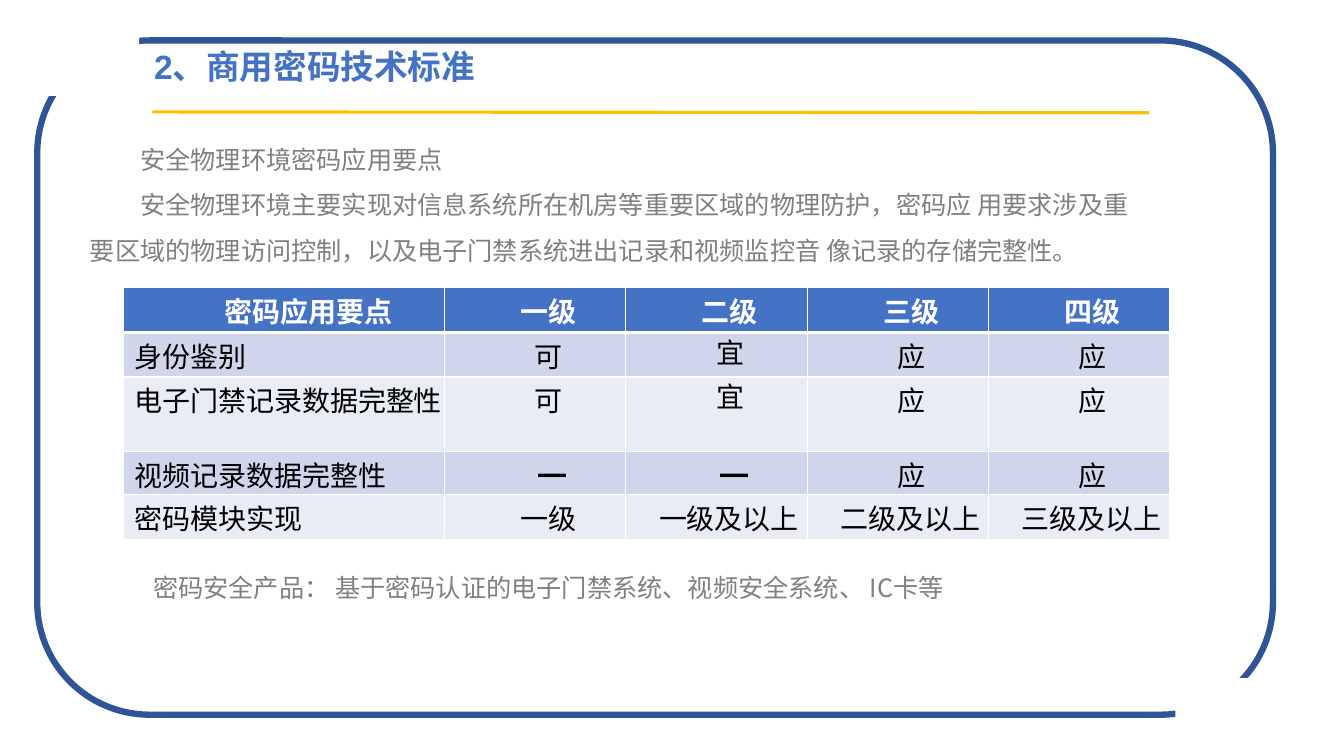
from dataclasses import dataclass

from lxml import etree
from pptx import Presentation
from pptx import util as u
from pptx.dml.color import RGBColor
from pptx.enum import shapes, text
from pptx.oxml import ns

WHITE = RGBColor(0xFF, 0xFF, 0xFF)
BLACK = RGBColor(0x00, 0x00, 0x00)
GREY = RGBColor(0x80, 0x80, 0x80)
BLUE = RGBColor(0x44, 0x72, 0xC4)
NAVY = RGBColor(0x2F, 0x55, 0x97)
GOLD = RGBColor(0xFF, 0xC0, 0x00)
BAND_DARK = RGBColor(0xCF, 0xD5, 0xEA)
BAND_LIGHT = RGBColor(0xE9, 0xEB, 0xF5)
CJK = "Noto Sans CJK SC"

COLUMN_WIDTHS = [8.08] + [4.57] * 4


@dataclass(frozen=True)
class Box:
    left: float
    top: float
    width: float
    height: float

    def lengths(self) -> tuple:
        return u.Cm(self.left), u.Cm(self.top), u.Cm(self.width), u.Cm(self.height)


@dataclass(frozen=True)
class Style:
    size: float
    color: RGBColor
    font: str = CJK
    bold: bool = False
    spacing: int = 0


@dataclass(frozen=True)
class Row:
    height: float
    fill: RGBColor
    cells: tuple


FRAME = Box(0.94, 1.02, 31.14, 16.99)
GAPS = (Box(0.94, 0.46, 2.57, 1.96), Box(29.62, 17.09, 2.57, 1.96))
TITLE = Box(3.63, 1.04, 25.55, 1.27)
BODY = Box(2.01, 3.12, 26.97, 3.71)
NOTE = Box(2.34, 13.92, 26.97, 1.4)

TITLE_STYLE = Style(24, BLUE, "Arial", True)
BODY_STYLE = Style(18, GREY)
HEADER_STYLE = Style(20, WHITE, bold=True, spacing=-10)
CELL_STYLE = Style(20, BLACK, spacing=-10)

BODY_TEXTS = (
    "安全物理环境密码应用要点",
    "安全物理环境主要实现对信息系统所在机房等重要区域的物理防护，密码应 用要求涉及重要区域的"
    "物理访问控制，以及电子门禁系统进出记录和视频监控音 像记录的存储完整性。",
)
NOTE_TEXTS = ("密码安全产品： 基于密码认证的电子门禁系统、视频安全系统、 IC卡等",)

ROWS = (
    Row(1.14, BLUE, ("密码应用要点", "一级", "二级", "三级", "四级")),
    Row(1.12, BAND_DARK, ("身份鉴别", "可", "宜", "应", "应")),
    Row(1.88, BAND_LIGHT, ("电子门禁记录数据完整性", "可", "宜", "应", "应")),
    Row(1.09, BAND_DARK, ("视频记录数据完整性", "━", "━", "应", "应")),
    Row(1.14, BAND_LIGHT, ("密码模块实现", "一级", "一级及以上", "二级及以上", "三级及以上")),
)


def place(shape, box: Box) -> None:
    shape.left, shape.top, shape.width, shape.height = box.lengths()


def add_run(paragraph, content: str, style: Style) -> None:
    run = paragraph.add_run()
    run.text = content
    font = run.font
    font.size = u.Pt(style.size)
    font.bold = style.bold
    font.name = style.font
    font.color.rgb = style.color
    properties = run.font._element
    etree.SubElement(properties, ns.qn("a:ea")).set("typeface", CJK)
    if style.spacing:
        properties.set("spc", str(style.spacing))


def write_indented(frame, contents: tuple) -> None:
    frame.word_wrap = True
    frame.auto_size = text.MSO_AUTO_SIZE.NONE
    frame.vertical_anchor = text.MSO_ANCHOR.TOP
    for index, content in enumerate(contents):
        paragraph = frame.add_paragraph() if index else frame.paragraphs[0]
        paragraph.alignment = text.PP_ALIGN.LEFT
        paragraph.line_spacing = u.Pt(32.5)
        paragraph.space_before = u.Pt(0)
        properties = paragraph._p.get_or_add_pPr()
        properties.set("marL", "0")
        properties.set("indent", str(int(u.Cm(1.27))))
        etree.SubElement(properties, ns.qn("a:buNone"))
        add_run(paragraph, content, BODY_STYLE)


def add_frame(slide) -> None:
    frame = slide.shapes.add_shape(
        shapes.MSO_SHAPE.ROUNDED_RECTANGLE, *FRAME.lengths())
    frame.shadow.inherit = False
    frame.fill.background()
    frame.line.color.rgb = NAVY
    frame.line.width = u.Pt(4.5)
    for box in GAPS:
        gap = slide.shapes.add_shape(shapes.MSO_SHAPE.RECTANGLE, *box.lengths())
        gap.shadow.inherit = False
        gap.fill.solid()
        gap.fill.fore_color.rgb = WHITE
        gap.line.fill.background()


def add_title(slide) -> None:
    title = slide.shapes.title
    place(title, TITLE)
    frame = title.text_frame
    frame.word_wrap = True
    frame.auto_size = text.MSO_AUTO_SIZE.NONE
    frame.vertical_anchor = text.MSO_ANCHOR.MIDDLE
    paragraph = frame.paragraphs[0]
    paragraph.alignment = text.PP_ALIGN.LEFT
    add_run(paragraph, "2、商用密码技术标准", TITLE_STYLE)
    rule = slide.shapes.add_connector(
        shapes.MSO_CONNECTOR.STRAIGHT, u.Cm(3.84), u.Cm(2.82), u.Cm(28.96), u.Cm(2.84))
    rule.line.color.rgb = GOLD
    rule.line.width = u.Pt(2.25)
    etree.SubElement(rule._element.spPr, ns.qn("a:effectLst"))


def set_borders(cell, top: float, bottom: float) -> None:
    properties = cell._tc.get_or_add_tcPr()
    widths = {"lnL": 1, "lnR": 1, "lnT": top, "lnB": bottom}
    for position, (side, width) in enumerate(widths.items()):
        line = etree.Element(ns.qn(f"a:{side}"), w=str(int(u.Pt(width))))
        fill = etree.SubElement(line, ns.qn("a:solidFill"))
        etree.SubElement(fill, ns.qn("a:srgbClr")).set("val", str(WHITE))
        properties.insert(position, line)


def cell_indent(content: str, row: int, column: int) -> float:
    if column == 0:
        return 0.28 if row else 2.54
    return 2.64 - 0.36 * len(content) + (0.1 if content == "━" else 0)


def add_level_table(slide) -> None:
    box = Box(3.12, 7.24, sum(COLUMN_WIDTHS), sum(row.height for row in ROWS))
    table = slide.shapes.add_table(
        len(ROWS), len(COLUMN_WIDTHS), *box.lengths()).table
    for column, width in zip(table.columns, COLUMN_WIDTHS):
        column.width = u.Cm(width)
    for i, row in enumerate(ROWS):
        table.rows[i].height = u.Cm(row.height)
        for j, content in enumerate(row.cells):
            cell = table.cell(i, j)
            cell.fill.solid()
            cell.fill.fore_color.rgb = row.fill
            set_borders(cell, 3 if i == 1 else 1, 3 if i == 0 else 1)
            cell.margin_left = u.Cm(cell_indent(content, i, j))
            cell.margin_top = u.Cm(0.1 if content == "宜" else 0.2)
            cell.margin_right = cell.margin_bottom = 0
            cell.vertical_anchor = text.MSO_ANCHOR.TOP
            paragraph = cell.text_frame.paragraphs[0]
            paragraph.alignment = text.PP_ALIGN.LEFT
            paragraph.line_spacing = u.Pt(25)
            add_run(paragraph, content, CELL_STYLE if i else HEADER_STYLE)


def main() -> None:
    presentation = Presentation()
    presentation.slide_width = u.Cm(33.87)
    presentation.slide_height = u.Cm(19.05)
    slide = presentation.slides.add_slide(presentation.slide_layouts[1])
    add_frame(slide)
    add_title(slide)
    body = slide.placeholders[1]
    place(body, BODY)
    write_indented(body.text_frame, BODY_TEXTS)
    add_level_table(slide)
    note = slide.shapes.add_textbox(*NOTE.lengths())
    write_indented(note.text_frame, NOTE_TEXTS)
    presentation.save("out.pptx")


if __name__ == "__main__":
    main()
